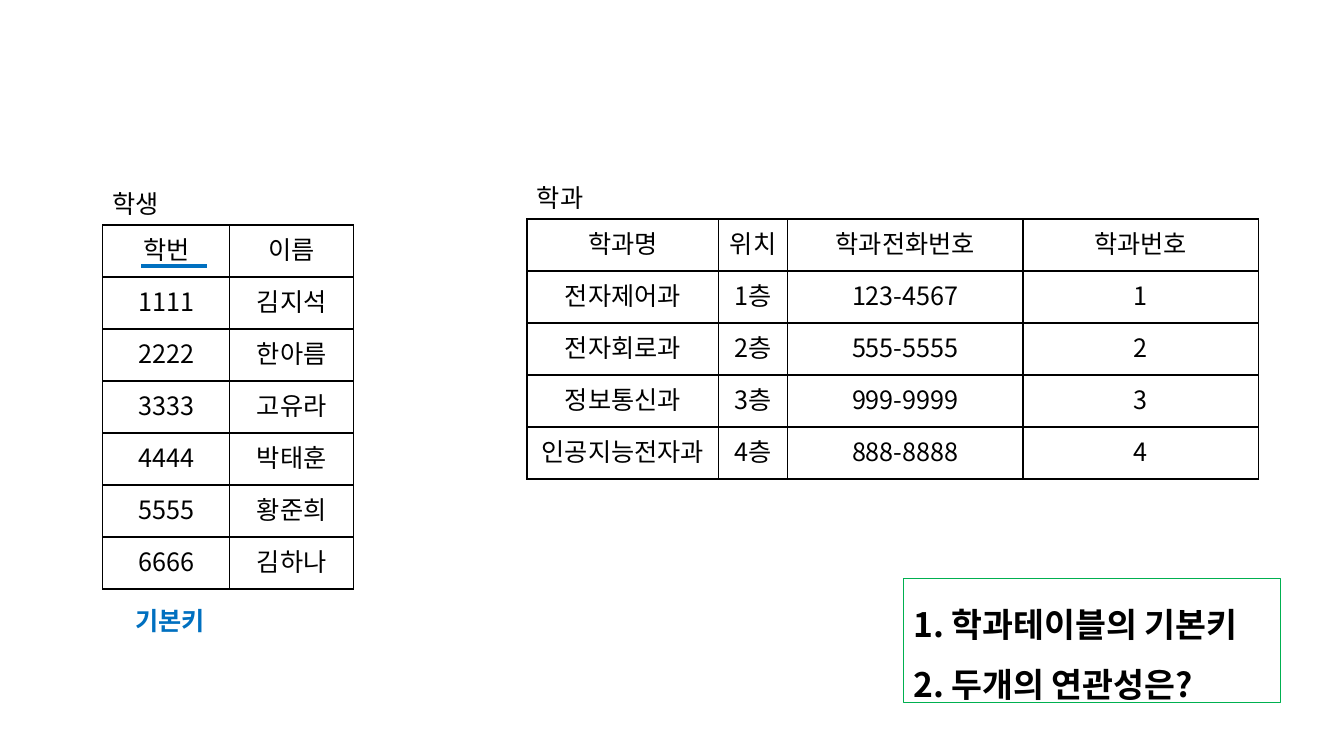
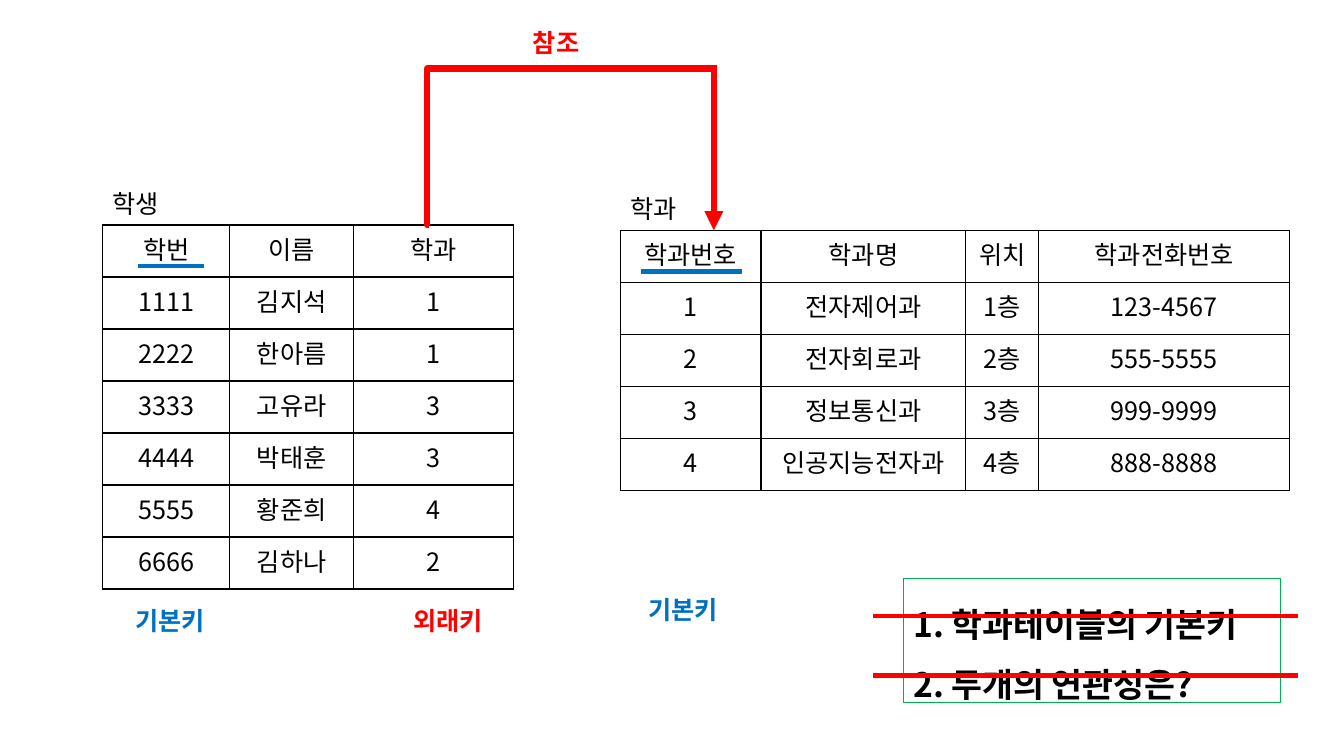
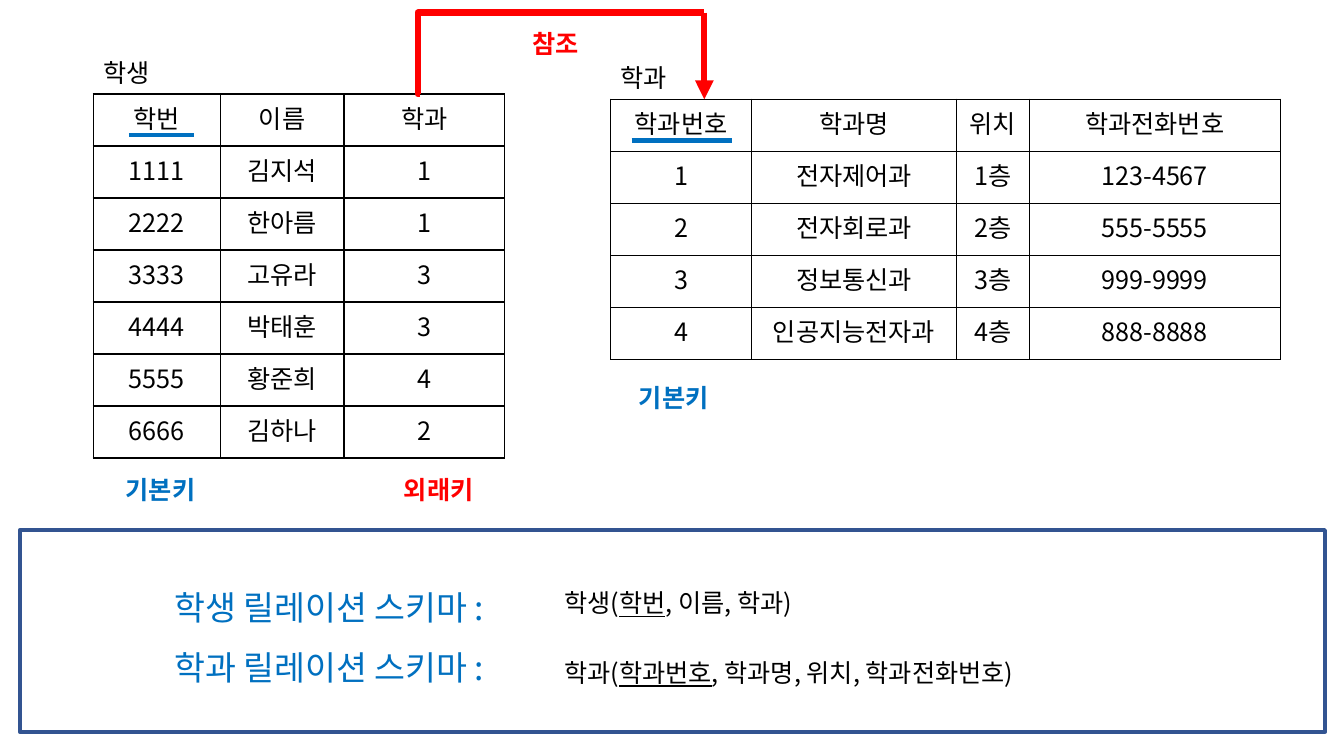
from itertools import product
from lxml.etree import SubElement
from pptx import Presentation
from pptx.dml.color import RGBColor
from pptx.enum.shapes import MSO_CONNECTOR, MSO_SHAPE
from pptx.enum.text import MSO_ANCHOR, MSO_AUTO_SIZE, PP_ALIGN
from pptx.oxml.ns import qn
from pptx.util import Cm, Pt

FONT = "Noto Sans CJK KR"
HUES = {"ink": "000000", "blue": "0070C0", "red": "FF0000", "green": "00B050", "navy": "325491"}
ROW = 1.31
PUPILS = [
    ("학번", "이름", "학과"),
    ("1111", "김지석", "1"),
    ("2222", "한아름", "1"),
    ("3333", "고유라", "3"),
    ("4444", "박태훈", "3"),
    ("5555", "황준희", "4"),
    ("6666", "김하나", "2"),
]
DEPTS = [
    ("학과번호", "학과명", "위치", "학과전화번호"),
    ("1", "전자제어과", "1층", "123-4567"),
    ("2", "전자회로과", "2층", "555-5555"),
    ("3", "정보통신과", "3층", "999-9999"),
    ("4", "인공지능전자과", "4층", "888-8888"),
]
WIDE = (3.2, 3.12, 4.04)


def shade(name):
    return RGBColor.from_string(HUES[name])


def write(frame, text, size=18, hue="ink", bold=False, align=PP_ALIGN.LEFT, space=None, count=False):
    for row, line in enumerate(text.split("\n")):
        para = frame.add_paragraph() if row else frame.paragraphs[0]
        para.alignment = align
        if space:
            para.line_spacing = space
        if count:
            props = para._p.get_or_add_pPr()
            props.set("marL", str(Cm(0.95)))
            props.set("indent", str(-Cm(0.95)))
            SubElement(props, qn("a:buFont"), typeface="+mj-lt")
            SubElement(props, qn("a:buAutoNum"), type="arabicPeriod")
        for part, words in enumerate(line.split("|")):
            run = para.add_run()
            run.text = words
            font = run.font
            font.name, font.size, font.bold = FONT, Pt(size), bold
            font.underline = part % 2 == 1
            font.color.rgb = shade(hue)
            SubElement(run._r.get_or_add_rPr(), qn("a:ea"), typeface=FONT)


class Deck:
    def __init__(self):
        self.show = Presentation()
        self.show.slide_width, self.show.slide_height = Cm(33.87), Cm(19.05)

    def page(self):
        self.slide = self.show.slides.add_slide(self.show.slide_layouts[6])

    def text(self, words, x, y, w=1.8, h=1.02, wrap=False, **style):
        shape = self.slide.shapes.add_textbox(Cm(x), Cm(y), Cm(w), Cm(h))
        frame = shape.text_frame
        frame.word_wrap = wrap
        frame.auto_size = MSO_AUTO_SIZE.SHAPE_TO_FIT_TEXT
        write(frame, words, **style)

    def box(self, x, y, w, h, hue, width):
        shape = self.slide.shapes.add_shape(MSO_SHAPE.RECTANGLE, Cm(x), Cm(y), Cm(w), Cm(h))
        shape.shadow.inherit = False
        shape.fill.background()
        shape.line.color.rgb = shade(hue)
        shape.line.width = Pt(width)
        return shape

    def line(self, x, y, right, low, hue, width=3, arrow=False, bend=None):
        kind = MSO_CONNECTOR.STRAIGHT if bend is None else MSO_CONNECTOR.ELBOW
        wire = self.slide.shapes.add_connector(kind, Cm(x), Cm(y), Cm(right), Cm(low))
        wire.line.color.rgb = shade(hue)
        wire.line.width = Pt(width)
        props = wire.element.spPr
        if arrow:
            SubElement(props.find(qn("a:ln")), qn("a:tailEnd"), type="triangle")
        if bend is not None:
            geom = props.find(qn("a:prstGeom"))
            guides = geom.find(qn("a:avLst"))
            if guides is None:
                guides = SubElement(geom, qn("a:avLst"))
            SubElement(guides, qn("a:gd"), name="adj1", fmla=f"val {bend}")
        SubElement(props, qn("a:effectLst"))

    def grid(self, title, rows, x, y, widths):
        frame = self.slide.shapes.add_table(
            len(rows), len(widths), Cm(x), Cm(y), Cm(sum(widths)), Cm(ROW * len(rows)))
        table = frame.table
        table.first_row = table.horz_banding = False
        for col, width in zip(table.columns, widths):
            col.width = Cm(width)
        for row in table.rows:
            row.height = Cm(ROW)
        for r, c in product(range(len(rows)), range(len(widths))):
            cell = table.cell(r, c)
            props = cell._tc.get_or_add_tcPr()
            for side in "LRTB":
                edge = SubElement(props, qn(f"a:ln{side}"), w=str(Pt(1)))
                fill = SubElement(edge, qn("a:solidFill"))
                SubElement(fill, qn("a:srgbClr"), val=HUES["ink"])
            cell.fill.background()
            write(cell.text_frame, rows[r][c], align=PP_ALIGN.CENTER)
        self.text(title, x, y - 1.05)

    def key(self, words, x, y, hue="blue"):
        self.text(words, x, y, w=2.44, hue=hue, bold=True)

    def pupils(self, x, y, cols, mark):
        self.grid("학생", [row[:cols] for row in PUPILS], x, y, WIDE[:cols])
        self.line(x + mark, y + 1.03, x + mark + 1.65, y + 1.03, "blue")
        self.key("기본키", x + 0.57, y + 9.47)

    def linked(self, x, y, drop, top, peak, label):
        self.pupils(x, y, 3, 0.9)
        self.key("외래키", x + 7.58, y + 9.47, "red")
        left, head = x + 13.04, y + 0.13
        self.grid("학과", DEPTS, left, head, (3.55, 5.16, 1.84, 6.32))
        self.line(left + 0.53, head + 1.04, left + 3.07, head + 1.04, "blue")
        self.key("기본키", left + 0.46, head + drop)
        tip = left + 2.36
        self.line(x + 8.23, y, tip, top, "red", 4.5, bend=-700)
        self.line(tip, peak, tip, head, "red", 4.5, arrow=True)
        self.text("참조", *label, hue="red", bold=True)

    def tasks(self):
        shape = self.box(22.78, 14.58, 9.48, 3.13, "green", 0.75)
        frame = shape.text_frame
        frame.word_wrap = True
        frame.vertical_anchor = MSO_ANCHOR.TOP
        write(frame, "학과테이블의 기본키\n두개의 연관성은?", size=24, bold=True, space=1.5, count=True)


def main():
    deck = Deck()

    deck.page()
    deck.pupils(2.59, 5.67, 2, 0.97)
    deck.grid("학과", [row[1:] + row[:1] for row in DEPTS], 13.28, 5.52, (4.83, 1.74, 5.93, 5.93))
    deck.tasks()

    deck.page()
    deck.linked(2.59, 5.67, 9.04, 1.73, 1.63, (13.18, 0.56))
    deck.tasks()
    for y in (15.52, 17.02):
        deck.line(22, y, 32.72, y, "red")

    deck.page()
    deck.linked(2.35, 2.37, 7.01, 0.32, 0.32, (13.16, 0.58))
    deck.text("학생 릴레이션 스키마 :\n학과 릴레이션 스키마 :", 4.14, 14.15, 9.12, 3.2,
              size=24, hue="blue", space=1.5)
    deck.box(0.5, 13.36, 32.89, 5.08, "navy", 3)
    deck.text("학생(|학번|, 이름, 학과)", 13.97, 14.68, 12.75, wrap=True)
    deck.text("학과(|학과번호|, 학과명, 위치, 학과전화번호)", 13.97, 16.43, 12.75, wrap=True)

    deck.show.save("out.pptx")


if __name__ == "__main__":
    main()
